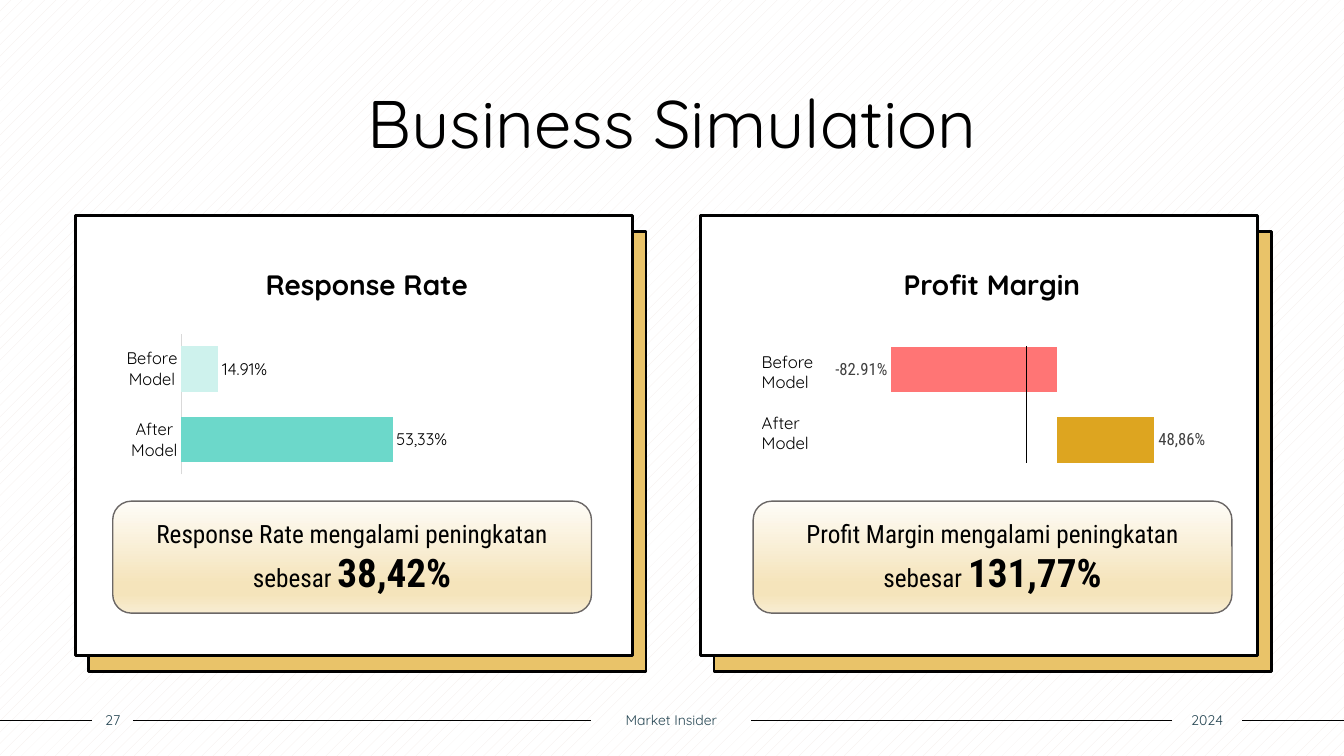
from lxml.etree import SubElement
from pptx import Presentation
from pptx.chart.data import CategoryChartData
from pptx.dml.color import RGBColor
from pptx.enum.chart import XL_CHART_TYPE, XL_LABEL_POSITION, XL_TICK_MARK
from pptx.enum.dml import MSO_PATTERN
from pptx.enum.shapes import MSO_CONNECTOR, MSO_SHAPE
from pptx.enum.text import MSO_ANCHOR, PP_ALIGN
from pptx.oxml import parse_xml
from pptx.oxml.ns import nsdecls, qn
from pptx.util import Pt

COLORS = {
    "black": "000000", "white": "FFFFFF", "hatch": "F3EBE8", "gold": "E9C369",
    "footer": "264653", "axis": "D9D9D9", "label": "404040", "outline": "6B6766",
    "pale_teal": "CEF2ED", "teal": "6CD8CA", "red": "FF7575", "amber": "DDA520",
}
SUMMARY_STOPS = [(0, "FEFCF7"), (74, "F5E4BB"), (83, "F5E4BB"), (100, "F8EDD2")]
HEADING, BODY = "Quicksand", "Roboto Condensed"


def color(name):
    return RGBColor.from_string(COLORS[name])


def set_font(font, name, size, color_name="black", bold=False):
    font.name, font.size, font.bold = name, Pt(size), bold
    font.color.rgb = color(color_name)


prs = Presentation()
prs.slide_width, prs.slide_height = Pt(960), Pt(540)
slide = prs.slides.add_slide(prs.slide_layouts[6])
shapes = slide.shapes
bg = slide.background.fill
bg.patterned()
bg.pattern = MSO_PATTERN.PERCENT_10
bg.fore_color.rgb, bg.back_color.rgb = color("hatch"), color("white")

# Footer: three labels with rules running between them to the slide edges
FOOTER_Y = 514.5
labels = []
for text, left, width in [("27", 66, 29), ("Market Insider", 422.5, 114), ("2024", 837, 50.5)]:
    label = shapes.add_textbox(Pt(left), Pt(FOOTER_Y - 10), Pt(width), Pt(20))
    tf = label.text_frame
    tf.word_wrap = True
    tf.vertical_anchor = MSO_ANCHOR.MIDDLE
    tf.margin_left = tf.margin_right = 0
    p = tf.paragraphs[0]
    p.text, p.alignment = text, PP_ALIGN.CENTER
    set_font(p.font, HEADING, 10, "footer")
    labels.append(label)

for before, after in zip([None] + labels, labels + [None]):
    rule = shapes.add_connector(MSO_CONNECTOR.STRAIGHT, 0, Pt(FOOTER_Y), Pt(960), Pt(FOOTER_Y))
    if before is not None:
        rule.begin_connect(before, 3)
    if after is not None:
        rule.end_connect(after, 1)
    rule.line.color.rgb, rule.line.width = color("black"), Pt(1)
    SubElement(rule.element.spPr, qn("a:effectLst"))

title = shapes.add_textbox(Pt(90), Pt(54.5), Pt(780.5), Pt(80))
title.text_frame.word_wrap = True
p = title.text_frame.paragraphs[0]
p.text, p.alignment = "Business Simulation", PP_ALIGN.CENTER
set_font(p.font, HEADING, 48)

# Two cards, each with a gold backing, a heading and a summary
for metric, increase, card_left, summary_left in [
    ("Response Rate", "38,42%", 54, 80.5),
    ("Profit Margin", "131,77%", 500.5, 538),
]:
    for offset_x, offset_y, fill in [(9.5, 11.5, "gold"), (0, 0, "white")]:
        card = shapes.add_shape(MSO_SHAPE.RECTANGLE, Pt(card_left + offset_x),
                                Pt(154 + offset_y), Pt(398), Pt(314))
        card.shadow.inherit = False
        card.fill.solid()
        card.fill.fore_color.rgb = color(fill)
        card.line.color.rgb, card.line.width = color("black"), Pt(2)
    tf = card.text_frame
    tf.word_wrap = True
    tf.vertical_anchor = MSO_ANCHOR.TOP
    tf.margin_left, tf.margin_top = Pt(25), Pt(39.5)
    p = tf.paragraphs[0]
    p.text, p.alignment, p.line_spacing = metric, PP_ALIGN.CENTER, 0.9
    set_font(p.font, HEADING, 20, bold=True)

    summary = shapes.add_shape(MSO_SHAPE.ROUNDED_RECTANGLE, Pt(summary_left), Pt(358),
                               Pt(342), Pt(80))
    summary.shadow.inherit = False
    summary.fill.gradient()
    stops = "".join(f'<a:gs pos="{pos * 1000}"><a:srgbClr val="{rgb}"/></a:gs>'
                    for pos, rgb in SUMMARY_STOPS)
    gradient = summary.element.spPr.find(qn("a:gradFill"))
    gradient.getparent().replace(gradient, parse_xml(
        f'<a:gradFill rotWithShape="1" {nsdecls("a")}><a:gsLst>{stops}</a:gsLst>'
        '<a:lin ang="5400000" scaled="0"/></a:gradFill>'))
    summary.line.color.rgb, summary.line.width = color("outline"), Pt(1)
    tf = summary.text_frame
    tf.word_wrap = True
    tf.vertical_anchor = MSO_ANCHOR.MIDDLE
    p = tf.paragraphs[0]
    p.alignment = PP_ALIGN.CENTER
    for text, size, bold in [(f"{metric} mengalami peningkatan sebesar ", 18, False),
                             (increase, 28, True)]:
        r = p.add_run()
        r.text = text
        set_font(r.font, BODY, size, bold=bold)

# Bar charts: frame, categories, values, bar colours, last label, label style, axis range, plot
for frame, cats, values, bars, last_label, label_style, axis_range, plot_area, show_cats in [
    ((75.5, 227.5, 244, 122.5), ["Before Model", "After Model"], [0.1491, 0.8559],
     ["pale_teal", "teal"], "53,33%", (HEADING, 12, "black"), (0, 0.93),
     (0.226, 0.09, 0.684, 0.82), True),
    ((510.5, 228, 350.5, 122.5), ["1", "2"], [-0.8291, 0.4886],
     ["red", "amber"], "48,86%", (BODY, 12, "label"), (-0.98, 0.67),
     (0.3, 0.09, 0.673, 0.82), False),
]:
    data = CategoryChartData(number_format="0.00%")
    data.categories = cats
    data.add_series("Series 1", values)
    chart = shapes.add_chart(XL_CHART_TYPE.BAR_CLUSTERED, *map(Pt, frame), data).chart
    chart.has_legend = chart.has_title = False
    set_font(chart.font, BODY, 10)

    value_axis, cat_axis = chart.value_axis, chart.category_axis
    value_axis.minimum_scale, value_axis.maximum_scale = axis_range
    value_axis.has_major_gridlines = value_axis.visible = False
    cat_axis.reverse_order = True
    cat_axis.visible = show_cats
    cat_axis.major_tick_mark = cat_axis.minor_tick_mark = XL_TICK_MARK.NONE
    cat_axis.format.line.color.rgb = color("axis")
    cat_axis.format.line.width = Pt(0.75)
    set_font(cat_axis.tick_labels.font, HEADING, 12)

    plot = chart.plots[0]
    plot.gap_width, plot.vary_by_categories = 55, False
    series = plot.series[0]
    series.invert_if_negative = False
    for i, bar in enumerate(bars):
        fill = series.points[i].format.fill
        fill.solid()
        fill.fore_color.rgb = color(bar)
    dl = series.data_labels
    dl.show_value, dl.position = True, XL_LABEL_POSITION.OUTSIDE_END
    dl.number_format, dl.number_format_is_linked = "0.00%", False
    set_font(dl.font, *label_style)
    point_label = series.points[1].data_label
    p = point_label.text_frame.paragraphs[0]
    r = p.add_run()
    r.text = last_label
    set_font(r.font, *label_style)
    point_label.position = XL_LABEL_POSITION.OUTSIDE_END

    area = chart.element.find(".//" + qn("c:plotArea"))
    for layout in area.findall(qn("c:layout")):
        area.remove(layout)
    sizes = "".join(f'<c:{tag} val="{val}"/>' for tag, val in zip("xywh", plot_area))
    area.insert(0, parse_xml(
        f'<c:layout {nsdecls("c")}><c:manualLayout><c:layoutTarget val="inner"/>'
        f'<c:xMode val="edge"/><c:yMode val="edge"/>{sizes}</c:manualLayout></c:layout>'))

# Marker line and category names of the profit margin chart
marker = shapes.add_connector(MSO_CONNECTOR.STRAIGHT, Pt(733), Pt(247), Pt(733), Pt(331))
marker.line.color.rgb, marker.line.width = color("black"), Pt(0.5)
SubElement(marker.element.spPr, qn("a:effectLst"))

names = shapes.add_textbox(Pt(537), Pt(247.5), Pt(75.5), Pt(83.5))
tf = names.text_frame
tf.word_wrap = True
tf.text = "Before Model\nAfter Model"
for p in tf.paragraphs:
    set_font(p.font, HEADING, 12)
tf.paragraphs[1].space_before = Pt(15)

prs.save("out.pptx")
